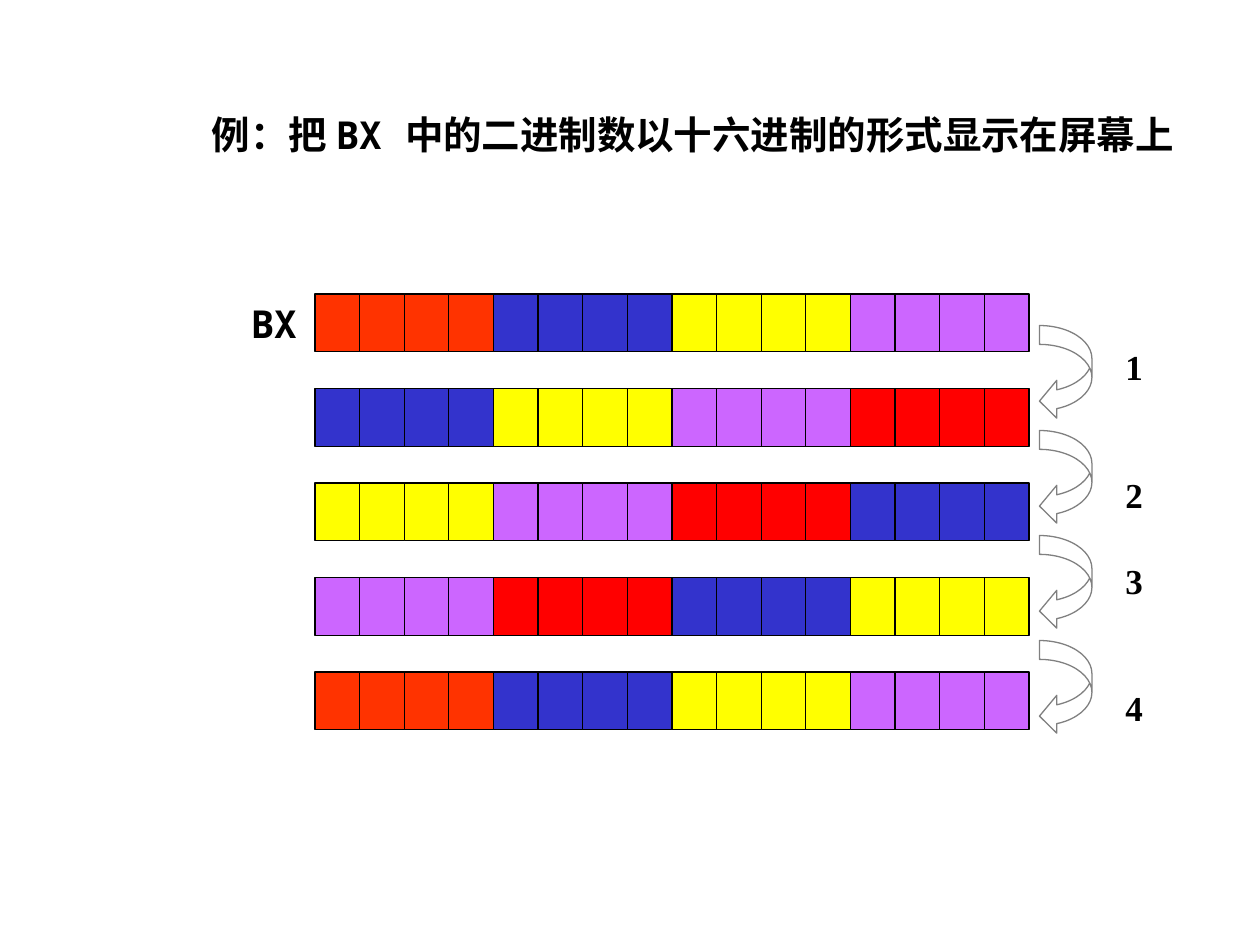
"""Build a slide showing BX rotated left by four bits, four times."""
from dataclasses import dataclass

from pptx import Presentation
from pptx.dml.color import RGBColor
from pptx.enum.shapes import MSO_SHAPE
from pptx.enum.text import MSO_AUTO_SIZE, PP_ALIGN
from pptx.util import Pt

SCALE = 7620
BLACK = RGBColor(0x00, 0x00, 0x00)
GRAY = RGBColor(0x80, 0x80, 0x80)
ORANGE = RGBColor(0xFF, 0x33, 0x00)
RED = RGBColor(0xFF, 0x00, 0x00)
BLUE = RGBColor(0x33, 0x33, 0xCC)
GOLD = RGBColor(0xFF, 0xFF, 0x00)
PLUM = RGBColor(0xCC, 0x66, 0xFF)
RECT = MSO_SHAPE.RECTANGLE
CURVE = MSO_SHAPE.CURVED_LEFT_ARROW
JUST = PP_ALIGN.JUSTIFY
GROW = MSO_AUTO_SIZE.SHAPE_TO_FIT_TEXT
SERIF = "Times New Roman"
MONO = "Noto Sans Mono"
BITS = 16
NIBBLE = 4
SHIFTS = 4


@dataclass
class Box:
    left: int
    top: int
    width: int
    height: int

    def emu(self) -> tuple[int, int, int, int]:
        return (self.left * SCALE, self.top * SCALE,
                self.width * SCALE, self.height * SCALE)


@dataclass
class Line:
    runs: list[tuple[str, str]]
    size: int
    before: int = 0


def draw_row(slide, box: Box, tints: list[RGBColor]) -> None:
    group = slide.shapes.add_group_shape()
    left, top, width, height = box.emu()
    cell = width // BITS
    for bit in range(BITS):
        shape = group.shapes.add_shape(RECT, left + bit * cell, top, cell, height)
        shape.shadow.inherit = False
        shape.fill.solid()
        shape.fill.fore_color.rgb = tints[bit // NIBBLE]
        shape.line.color.rgb = BLACK
        shape.line.width = Pt(0.75)


def draw_arrow(slide, box: Box) -> None:
    shape = slide.shapes.add_shape(CURVE, *box.emu())
    shape.shadow.inherit = False
    shape.fill.background()
    shape.line.color.rgb = GRAY
    shape.line.width = Pt(0.75)
    for index, ratio in enumerate((0.36, 0.72, 0.33)):
        shape.adjustments[index] = ratio


def draw_text(slide, box: Box, lines: list[Line], inset: int = 12, head: int = 6):
    frame = slide.shapes.add_textbox(*box.emu()).text_frame
    frame.word_wrap = True
    frame.margin_left = inset * SCALE
    frame.margin_top = head * SCALE
    for index, line in enumerate(lines):
        para = frame.add_paragraph() if index else frame.paragraphs[0]
        para.alignment = JUST
        if line.before:
            para.space_before = Pt(line.before)
        para.font.size = Pt(line.size)
        para.font.bold = True
        para.font.color.rgb = BLACK
        for text, face in line.runs:
            run = para.add_run()
            run.text = text
            run.font.name = face
    return frame


def main() -> None:
    deck = Presentation()
    deck.slide_width, deck.slide_height = 1200 * SCALE, 900 * SCALE
    slide = deck.slides.add_slide(deck.slide_layouts[6])

    tints = [RED, BLUE, GOLD, PLUM]
    for step in range(SHIFTS + 1):
        turn = step % len(tints)
        row = tints[turn:] + tints[:turn]
        if turn == 0:
            row[0] = ORANGE
        draw_row(slide, Box(300, 280 + 90 * step, 680, 55), row)

    draw_text(slide, Box(190, 280, 140, 80), [Line([("BX", MONO)], 22)], inset=49)
    for step in range(SHIFTS):
        draw_arrow(slide, Box(990, 310 + 100 * step, 50, 90))

    gaps = (0, 49, 25, 49)
    marks = [Line([(str(step), SERIF)], 20, gap)
             for step, gap in enumerate(gaps, 1)]
    draw_text(slide, Box(1060, 320, 90, 208), marks, head=9)

    title = Line([("例：把 ", SERIF), ("BX ", MONO),
                  ("中的二进制数以十六进制的形式显示在屏幕上", SERIF)], 22)
    frame = draw_text(slide, Box(190, 100, 950, 56), [title])
    frame.auto_size = GROW
    deck.save("out.pptx")


if __name__ == "__main__":
    main()
